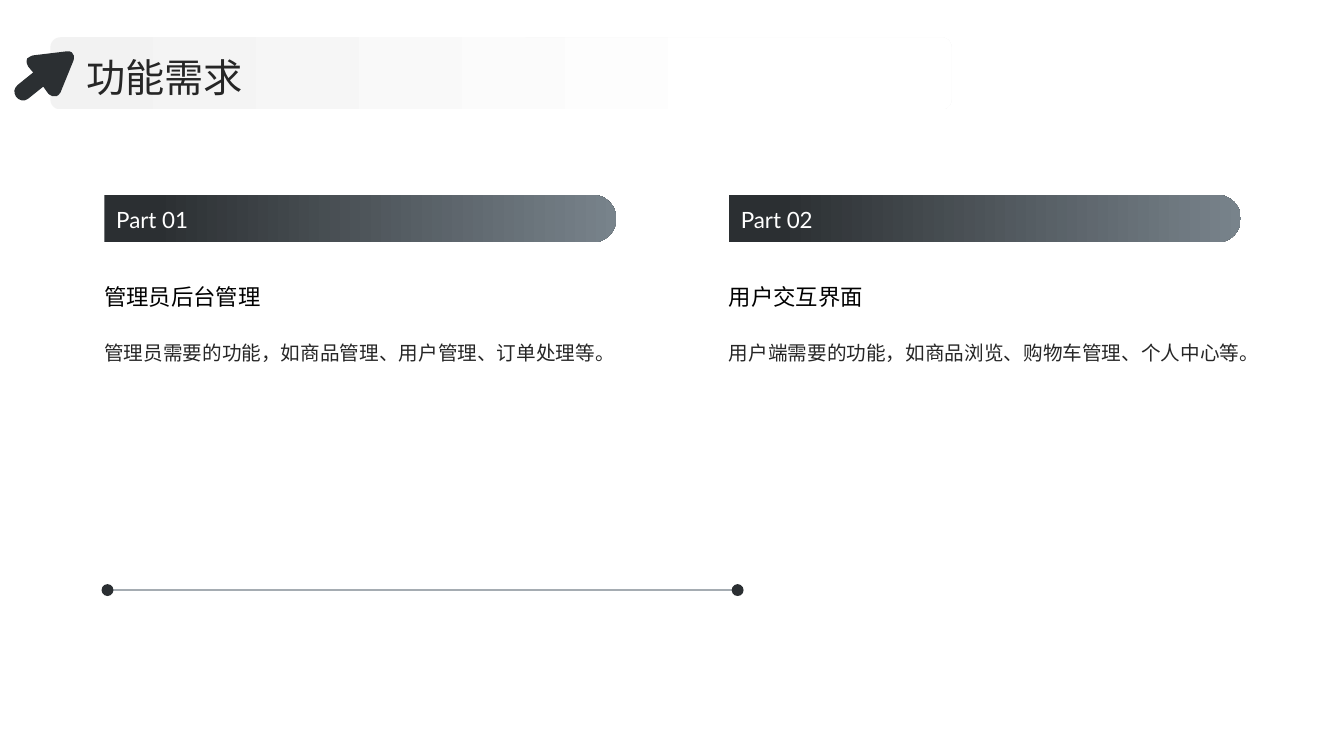
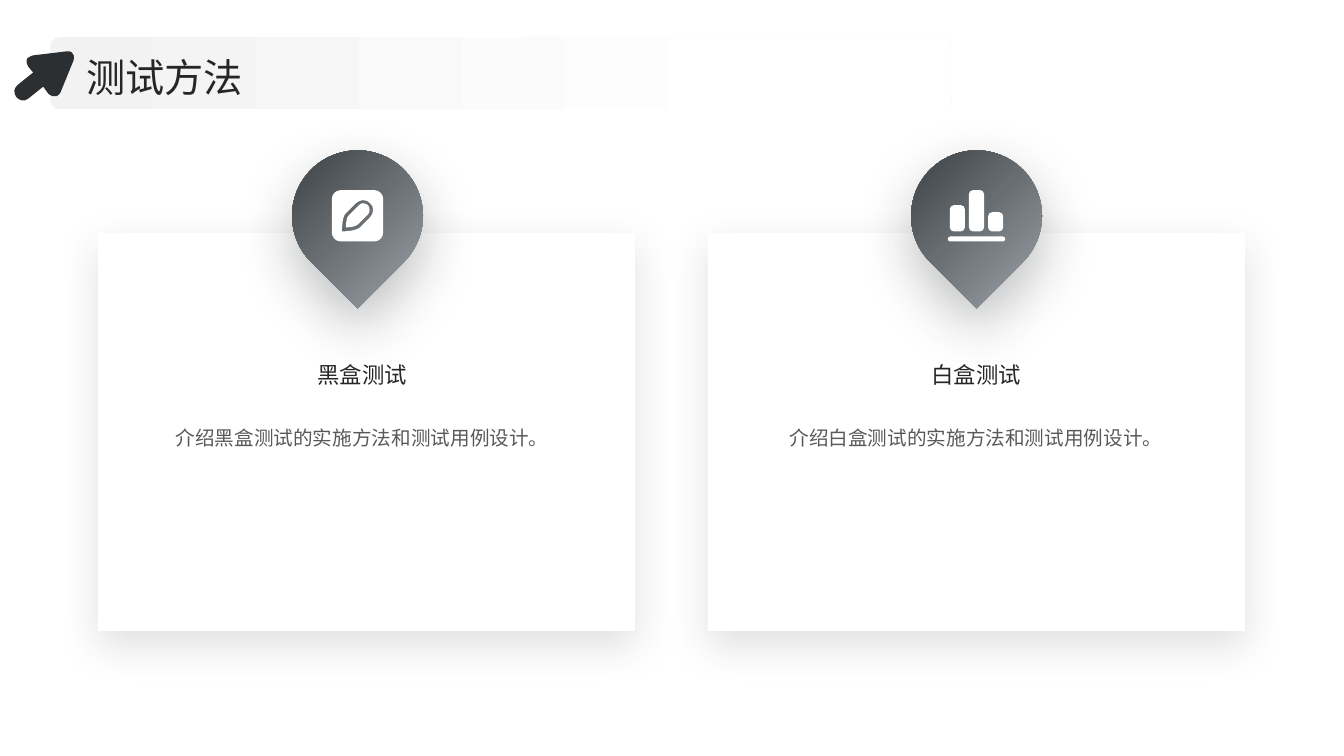
"""Build two slides on functional requirements and test methods."""
import dataclasses
import typing

import lxml.etree
import pptx
import pptx.dml.color
import pptx.enum.shapes
import pptx.enum.text
import pptx.oxml.ns
import pptx.shapes.autoshape
import pptx.slide
import pptx.util

Cm = pptx.util.Cm
ShapeKind = pptx.enum.shapes.MSO_SHAPE
Align = pptx.enum.text.PP_ALIGN
Anchor = pptx.enum.text.MSO_ANCHOR
Slide = pptx.slide.Slide
Shape = pptx.shapes.autoshape.Shape
Contour = list[tuple[float, ...]]


@dataclasses.dataclass(frozen=True)
class Theme:
    dark: str = "2B2F32"
    slate: str = "78838B"
    silver: str = "A5ACB2"
    pale: str = "F2F2F2"
    white: str = "FFFFFF"
    black: str = "000000"
    ink: str = "262626"
    muted: str = "595959"
    cjk_font: str = "Noto Sans CJK SC"
    latin_font: str = "Lato"
    title_size: int = 28
    heading_size: int = 16
    body_size: int = 14


THEME = Theme()
ICON_UNIT = Cm(2.54) // 100


class Box(typing.NamedTuple):
    left: float
    top: float
    width: float
    height: float

    def lengths(self) -> list[pptx.util.Length]:
        return [Cm(value) for value in self]


class TextStyle(typing.NamedTuple):
    size: int
    color: str
    font: str = THEME.cjk_font
    align: Align = Align.LEFT
    anchor: Anchor = Anchor.MIDDLE


class Shadow(typing.NamedTuple):
    opacity: int
    blur: int
    distance: int


class Gradient(typing.NamedTuple):
    start: tuple[float, str]
    end: tuple[float, str]
    angle: int


class Part(typing.NamedTuple):
    label: str
    heading: str
    body: str


@dataclasses.dataclass(frozen=True)
class Icon:
    width: float
    contours: list[Contour]


@dataclasses.dataclass(frozen=True)
class TestCard:
    left: float
    pin_left: float
    text_left: float
    heading: str
    body: str
    icon: Icon


def rounded_box(left: float, top: float, width: float, height: float, radius: float) -> Contour:
    right, bottom, near = left + width, top + height, radius * 0.45
    return [
        (left + radius, top), (right - radius, top),
        (right - near, top, right, top + near, right, top + radius),
        (right, bottom - radius),
        (right, bottom - near, right - near, bottom, right - radius, bottom),
        (left + radius, bottom),
        (left + near, bottom, left, bottom - near, left, bottom - radius),
        (left, top + radius),
        (left, top + near, left + near, top, left + radius, top),
    ]


ARROW: Contour = [
    (14, 8), (13, 10, 13, 12, 15, 16), (20, 22), (5, 34), (1, 37, 0, 42, 3, 46),
    (6, 50, 11, 51, 15, 48), (30, 36), (35, 43), (35, 43, 42, 50, 47, 42),
    (60, 10), (60, 10, 63, 0, 53, 1), (20, 5), (20, 5, 16, 6, 14, 8),
]
PENCIL_INSIDE: Contour = [
    (31, 13), (33, 13, 35, 14, 36, 15), (38, 18, 38, 22, 36, 24), (26, 34),
    (24, 36, 19, 37, 14, 37), (14, 32, 15, 26, 17, 25), (27, 15), (28, 14, 29, 13, 31, 13),
]
PENCIL_OUTSIDE: Contour = [
    (31, 10), (29, 10, 26, 11, 24, 13), (14, 23), (10, 26, 10, 41, 10, 41),
    (10, 41, 24, 41, 28, 37), (38, 27), (42, 23, 42, 16, 38, 13), (36, 11, 34, 10, 31, 10),
]
PENCIL_ICON = Icon(51, [PENCIL_INSIDE, PENCIL_OUTSIDE, rounded_box(0, 0, 51, 51, 9)])
BARS_ICON = Icon(57, [rounded_box(0, 46, 57, 5, 2.5)] + [
    rounded_box(2 + 19 * index, 41 - height, 15, height, 4)
    for index, height in enumerate((26, 41, 19))
])

TITLE = TextStyle(THEME.title_size, THEME.ink)
PART_LABEL = TextStyle(THEME.heading_size, THEME.white, THEME.latin_font)
PART_HEADING = TextStyle(THEME.heading_size, THEME.black)
PART_BODY = TextStyle(THEME.body_size, THEME.ink, anchor=Anchor.TOP)
CARD_HEADING = TextStyle(THEME.heading_size, THEME.ink, align=Align.CENTER)
CARD_BODY = TextStyle(THEME.body_size, THEME.muted, align=Align.CENTER, anchor=Anchor.TOP)

TITLE_GRADIENT = Gradient((0, THEME.pale), (0.8, THEME.white), 0)
PART_GRADIENT = Gradient((0.1, THEME.dark), (1, THEME.slate), 90)
PIN_GRADIENT = Gradient((0, THEME.silver), (1, THEME.dark), 270)
CARD_SHADOW = Shadow(15, 30, 10)
PIN_SHADOW = Shadow(30, 40, 15)

PART_LEFT, PART_PITCH, PART_WIDTH = 2.63, 15.74, 12.9
PIN_SIZE = 3.3

PARTS = [
    Part("Part 01", "管理员后台管理", "管理员需要的功能，如商品管理、用户管理、订单处理等。"),
    Part("Part 02", "用户交互界面", "用户端需要的功能，如商品浏览、购物车管理、个人中心等。"),
]
CARDS = [
    TestCard(17.86, 22.96, 19.1, "白盒测试", "介绍白盒测试的实施方法和测试用例设计。", BARS_ICON),
    TestCard(2.49, 7.36, 3.63, "黑盒测试", "介绍黑盒测试的实施方法和测试用例设计。", PENCIL_ICON),
]


def rgb(color: str) -> pptx.dml.color.RGBColor:
    return pptx.dml.color.RGBColor.from_string(color)


def add_element(parent: typing.Any, tag: str, **attributes: str) -> typing.Any:
    return lxml.etree.SubElement(parent, pptx.oxml.ns.qn(tag), attributes)


def paint(shape: Shape, fill: str | Gradient) -> None:
    shape.shadow.inherit = False
    shape.line.fill.background()
    if isinstance(fill, Gradient):
        shape.fill.gradient()
        shape.fill.gradient_angle = fill.angle
        for stop, (position, color) in zip(shape.fill.gradient_stops, (fill.start, fill.end)):
            stop.position = position
            stop.color.rgb = rgb(color)
    else:
        shape.fill.solid()
        shape.fill.fore_color.rgb = rgb(fill)


def add_shape(slide: Slide, kind: ShapeKind, box: Box, fill: str | Gradient) -> Shape:
    shape = slide.shapes.add_shape(kind, *box.lengths())
    paint(shape, fill)
    return shape


def add_shadow(shape: Shape, shadow: Shadow) -> None:
    effects = shape._element.spPr.find(pptx.oxml.ns.qn("a:effectLst"))
    outer = add_element(
        effects, "a:outerShdw", blurRad=str(pptx.util.Pt(shadow.blur)),
        dist=str(pptx.util.Pt(shadow.distance)), dir="5400000", algn="t", rotWithShape="0",
    )
    color = add_element(outer, "a:srgbClr", val=THEME.dark)
    add_element(color, "a:alpha", val=str(shadow.opacity * 1000))


def add_text(slide: Slide, box: Box, text: str, style: TextStyle) -> None:
    frame = slide.shapes.add_textbox(*box.lengths()).text_frame
    frame.word_wrap = True
    frame.vertical_anchor = style.anchor
    frame.margin_left = frame.margin_right = frame.margin_top = frame.margin_bottom = 0
    paragraph = frame.paragraphs[0]
    paragraph.text = text
    paragraph.alignment = style.align
    for run in paragraph.runs:
        run.font.size = pptx.util.Pt(style.size)
        run.font.color.rgb = rgb(style.color)
        run.font.name = style.font
        add_element(run._r.get_or_add_rPr(), "a:ea", typeface=style.font)


def bend_lines(shape: Shape, segments: Contour) -> None:
    left, top = (min(segment[axis] for segment in segments) for axis in (-2, -1))
    close_tag = pptx.oxml.ns.qn("a:close")
    outline = shape._element.spPr.find(".//" + pptx.oxml.ns.qn("a:path"))
    nodes = [node for node in outline if node.tag != close_tag]
    for node, segment in zip(nodes, segments):
        if len(segment) == 2:
            continue
        node.tag = pptx.oxml.ns.qn("a:cubicBezTo")
        end_point = node[0]
        for x, y in (segment[:2], segment[2:4]):
            control = add_element(
                node, "a:pt", x=str(round((x - left) * ICON_UNIT)),
                y=str(round((y - top) * ICON_UNIT)),
            )
            end_point.addprevious(control)


def add_outline(slide: Slide, left: int, top: int, contours: list[Contour], fill: str) -> None:
    corners = [
        [(segment[-2] * ICON_UNIT, segment[-1] * ICON_UNIT) for segment in contour]
        for contour in contours
    ]
    builder = slide.shapes.build_freeform(*corners[0][0])
    for index, points in enumerate(corners):
        if index:
            builder.move_to(*points[0])
        builder.add_line_segments(points[1:], close=True)
    shape = builder.convert_to_shape(left, top)
    bend_lines(shape, [segment for contour in contours for segment in contour])
    paint(shape, fill)


def add_title(slide: Slide, title: str) -> None:
    band = add_shape(
        slide, ShapeKind.ROUNDED_RECTANGLE, Box(1.27, 0.94, 22.71, 1.82), TITLE_GRADIENT
    )
    band.adjustments[0] = 0.14
    add_text(slide, Box(2.18, 1.28, 29.64, 1.3), title, TITLE)
    add_outline(slide, Cm(0.33), Cm(1.27), [ARROW], THEME.dark)


def add_part(slide: Slide, left: float, part: Part) -> None:
    top, height = 4.91, 1.2
    turn = (PART_WIDTH - height) / 2
    bar = add_shape(
        slide, ShapeKind.ROUND_2_SAME_RECTANGLE,
        Box(left + turn, top - turn, height, PART_WIDTH), PART_GRADIENT,
    )
    bar.rotation = 90
    bar.adjustments[0] = 0.5
    add_text(slide, Box(left + 0.3, 5.13, 5.4, 0.8), part.label, PART_LABEL)
    add_text(slide, Box(left, 6.38, PART_WIDTH, 2.2), part.heading, PART_HEADING)
    add_text(slide, Box(left, 8.58, PART_WIDTH, 4.93), part.body, PART_BODY)


def add_dotted_line(slide: Slide, start: float, end: float, middle: float, dot: float) -> None:
    line = slide.shapes.add_connector(
        pptx.enum.shapes.MSO_CONNECTOR.STRAIGHT, Cm(start), Cm(middle), Cm(end), Cm(middle)
    )
    line.line.color.rgb = rgb(THEME.silver)
    line.line.width = pptx.util.Pt(1.5)
    add_element(line._element.spPr, "a:effectLst")
    for center in (end, start):
        box = Box(center - dot / 2, middle - dot / 2, dot, dot)
        add_shape(slide, ShapeKind.OVAL, box, THEME.dark)


def add_card(slide: Slide, card: TestCard) -> None:
    panel = add_shape(
        slide, ShapeKind.RECTANGLE, Box(card.left, 5.89, 13.49, 10), THEME.white
    )
    panel.line.color.rgb = rgb(THEME.white)
    panel.line.width = pptx.util.Pt(1)
    add_shadow(panel, CARD_SHADOW)
    pin = add_shape(
        slide, ShapeKind.TEAR, Box(card.pin_left, 3.79, PIN_SIZE, PIN_SIZE), PIN_GRADIENT
    )
    pin.rotation = 135
    add_shadow(pin, PIN_SHADOW)
    add_text(slide, Box(card.text_left, 8.25, 11, 2.38), card.heading, CARD_HEADING)
    add_text(slide, Box(card.text_left, 10.74, 11, 4.5), card.body, CARD_BODY)
    icon_left = Cm(card.pin_left + PIN_SIZE / 2) - round(card.icon.width * ICON_UNIT / 2)
    add_outline(slide, icon_left, Cm(4.79), card.icon.contours, THEME.white)


def main() -> None:
    presentation = pptx.Presentation()
    presentation.slide_width, presentation.slide_height = Cm(33.87), Cm(19.05)
    blank = presentation.slide_layouts[6]

    requirements = presentation.slides.add_slide(blank)
    for index, part in enumerate(PARTS):
        add_part(requirements, PART_LEFT + index * PART_PITCH, part)
    add_dotted_line(requirements, 2.71, 18.59, 14.87, 0.3)
    add_title(requirements, "功能需求")

    methods = presentation.slides.add_slide(blank)
    for card in CARDS:
        add_card(methods, card)
    add_title(methods, "测试方法")

    presentation.save("out.pptx")


if __name__ == "__main__":
    main()
